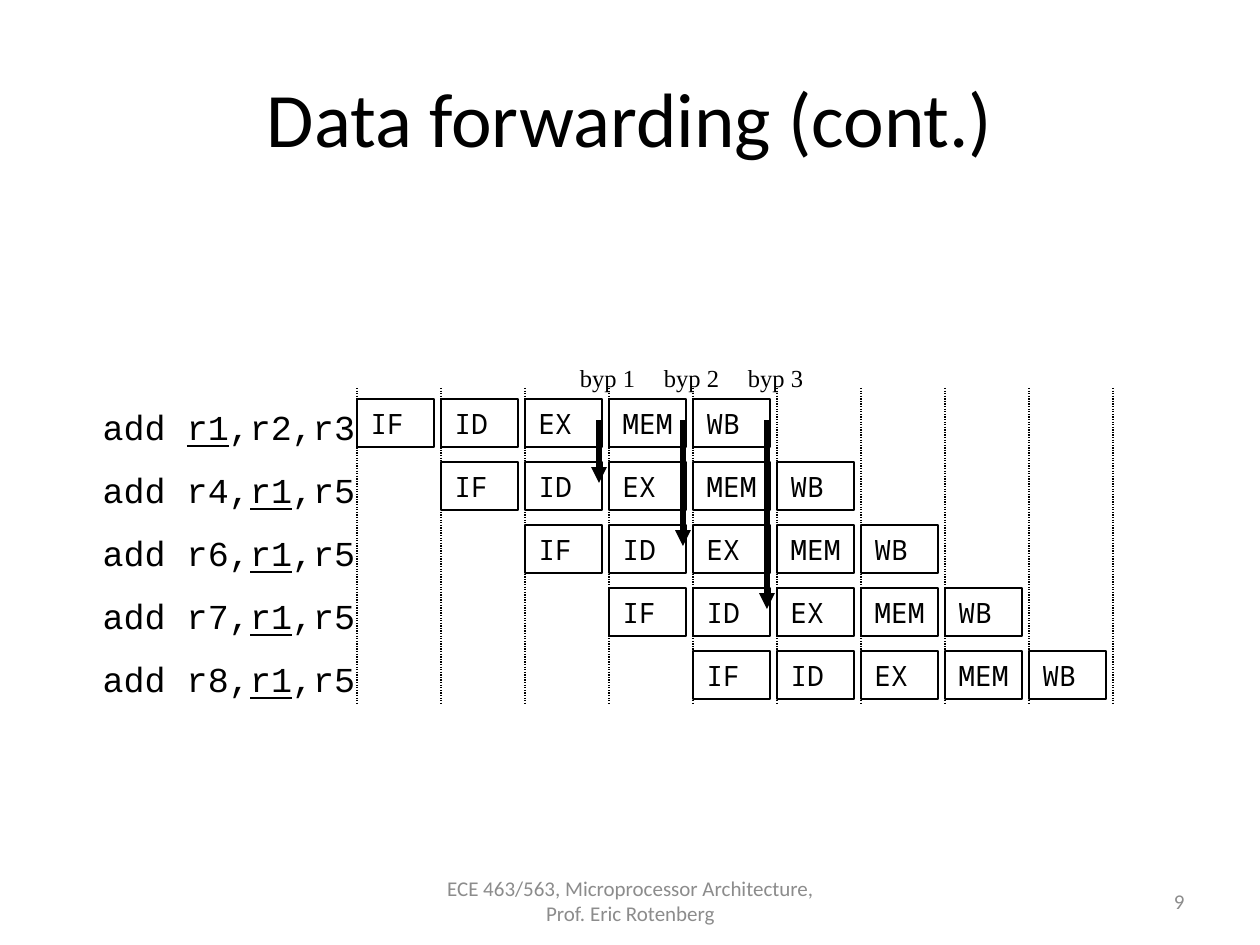
from pptx import Presentation
from pptx.dml.color import RGBColor
from pptx.enum.dml import MSO_LINE
from pptx.enum.shapes import MSO_CONNECTOR, MSO_SHAPE
from pptx.enum.text import MSO_ANCHOR, PP_ALIGN
from pptx.oxml.ns import qn
from pptx.util import Emu, Pt
from lxml import etree

CENTER, RIGHT = PP_ALIGN.CENTER, PP_ALIGN.RIGHT
MIDDLE = MSO_ANCHOR.MIDDLE
DOTTED = MSO_LINE.ROUND_DOT
STRAIGHT = MSO_CONNECTOR.STRAIGHT
RECTANGLE = MSO_SHAPE.RECTANGLE

EMU_PER_INCH, PX_PER_INCH = 914400, 126
BLACK, GRAY = "000000", "8C8C8C"
STAGES = ["IF ", "ID ", "EX ", "MEM", "WB "]
INSTRUCTIONS = [
    ("add ", "r1", ",r2,r3"),
    ("add r4,", "r1", ",r5"),
    ("add r6,", "r1", ",r5"),
    ("add r7,", "r1", ",r5"),
    ("add r8,", "r1", ",r5"),
]
BYPASSES = ["byp 1", "byp 2", "byp 3"]
CYCLE_WIDTH, ROW_HEIGHT = 84, 63


def px(length):
    """Convert pixels to EMU."""
    return Emu(round(length * EMU_PER_INCH / PX_PER_INCH))


def color(hex_string):
    """Convert a hex string to a colour."""
    return RGBColor.from_string(hex_string)


def write_text(shape, *pieces, font="Calibri", size=12, fill=BLACK,
               align=CENTER, wrap=True, underlined=None):
    """Write the pieces as runs of one paragraph, underlining one by index."""
    frame = shape.text_frame
    frame.word_wrap = wrap
    frame.vertical_anchor = MIDDLE
    paragraph = frame.paragraphs[0]
    paragraph.alignment = align
    for index, piece in enumerate(pieces):
        run = paragraph.add_run()
        run.text = piece
        run.font.name = font
        run.font.size = Pt(size)
        run.font.color.rgb = color(fill)
        if index == underlined:
            run.font.underline = True


def add_text(slide, box, *pieces, **text_format):
    """Add a text box at the given box."""
    shape = slide.shapes.add_textbox(*map(px, box))
    write_text(shape, *pieces, **text_format)


def add_vertical_line(slide, x, top, bottom, width, dash=None, arrow=False):
    """Add a vertical line, optionally dashed or ending in an arrowhead."""
    connector = slide.shapes.add_connector(STRAIGHT, px(x), px(top), px(x), px(bottom))
    connector.line.color.rgb = color(BLACK)
    connector.line.width = Pt(width)
    if dash:
        connector.line.dash_style = dash
    if arrow:
        line = connector.line._get_or_add_ln()
        etree.SubElement(line, qn("a:tailEnd"), type="triangle")
    etree.SubElement(connector._element.spPr, qn("a:effectLst"))


def add_title(slide, box):
    """Fill and place the title placeholder."""
    title = slide.shapes.title
    title.left, title.top, title.width, title.height = map(px, box)
    write_text(title, "Data forwarding (cont.)", size=44)


def add_footer(slide, box):
    """Add the course line and the slide number."""
    left, top, width, height = box
    add_text(slide, (left + 368, top, 399, height),
             "ECE 463/563, Microprocessor Architecture, Prof. Eric Rotenberg", fill=GRAY)
    add_text(slide, (left + width - 294, top, 294, height), "9", fill=GRAY, align=RIGHT)


def add_cycle_lines(slide, box):
    """Add the dotted lines between clock cycles."""
    left, top, width, height = box
    for x in range(left, left + width + 1, CYCLE_WIDTH):
        add_vertical_line(slide, x, top, top + height, 0.75, dash=DOTTED)


def add_instructions(slide, box):
    """Add one instruction label to each row."""
    left, top, width, _ = box
    for row, pieces in enumerate(INSTRUCTIONS):
        add_text(slide, (left, top + row * ROW_HEIGHT, width, 55), *pieces,
                 font="Courier New", size=20, wrap=False, underlined=1)


def add_stages(slide, box):
    """Add the pipeline stages, each row one cycle later than the last."""
    left, top, _, _ = box
    for row in range(len(INSTRUCTIONS)):
        for column, stage in enumerate(STAGES, start=row):
            x, y = left + column * CYCLE_WIDTH, top + row * ROW_HEIGHT
            shape = slide.shapes.add_shape(RECTANGLE, px(x), px(y), px(77), px(48))
            shape.shadow.inherit = False
            shape.fill.background()
            shape.line.color.rgb = color(BLACK)
            shape.line.width = Pt(0.75)
            write_text(shape, stage, font="Noto Sans Mono", size=16, wrap=False)


def add_bypasses(slide, box):
    """Add the bypass labels and arrows, each reaching one row further."""
    left, top, _, _ = box
    for index, label in enumerate(BYPASSES):
        x = left + index * CYCLE_WIDTH
        add_text(slide, (x, top, 81, 42), label,
                 font="Times New Roman", size=14, wrap=False)
        start = top + 63
        add_vertical_line(slide, x + 32, start, start + (index + 1) * ROW_HEIGHT,
                          3, arrow=True)


def main():
    """Build and save the slide."""
    presentation = Presentation()
    presentation.slide_width, presentation.slide_height = px(1260), px(945)
    slide = presentation.slides.add_slide(presentation.slide_layouts[5])
    add_title(slide, (63, 38, 1134, 157))
    add_footer(slide, (63, 876, 1134, 50))
    add_cycle_lines(slide, (357, 388, 756, 315))
    add_instructions(slide, (89, 399, 280, 315))
    add_stages(slide, (357, 399, 756, 315))
    add_bypasses(slide, (567, 357, 249, 252))
    presentation.save("out.pptx")


if __name__ == "__main__":
    main()
